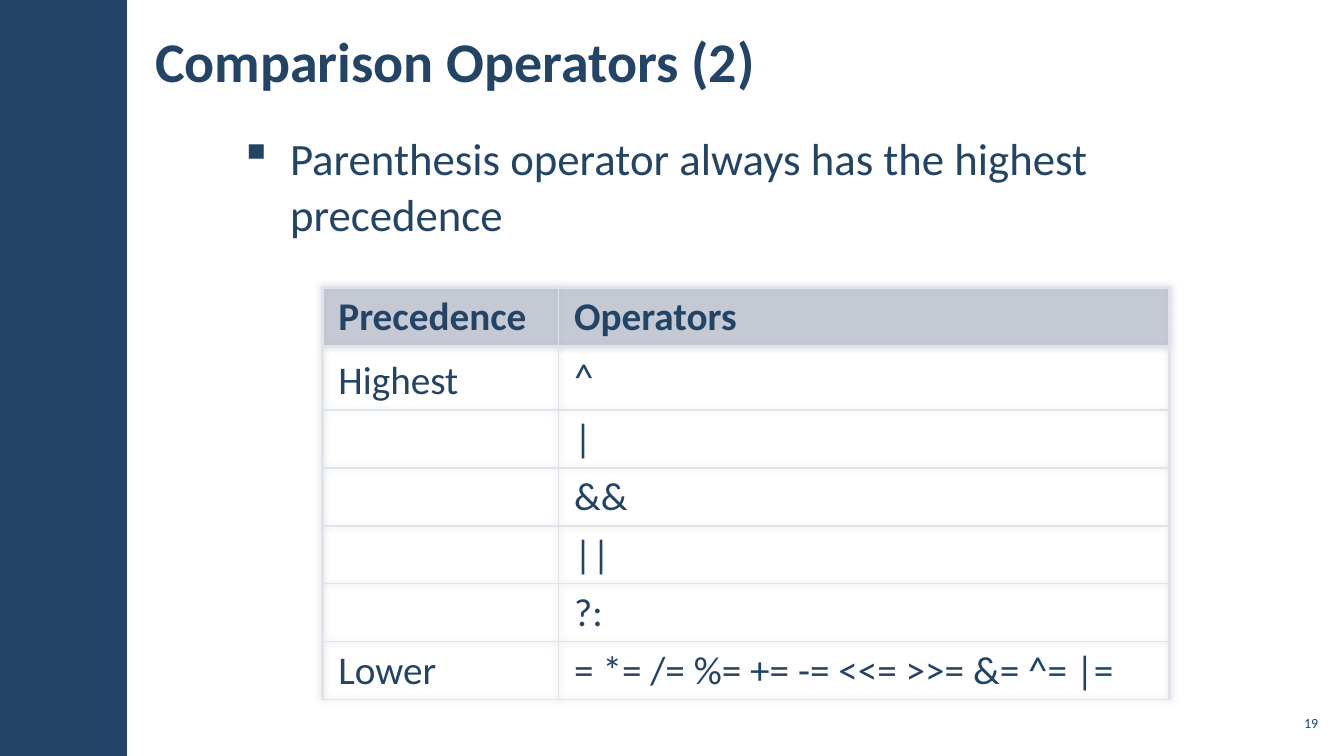
"""Build the slide on operator precedence with a bullet and a table."""
import pptx
import pptx.dml.color
import pptx.enum.shapes
import pptx.enum.text
import pptx.oxml
import pptx.oxml.ns
import pptx.util
from pptx.util import Cm, Pt

NAVY, GREY, BORDER = "234465", "A3ABBC", "E0E3E9"
NAMESPACE = pptx.oxml.ns.nsdecls("a")
ALIGN = pptx.enum.text.PP_ALIGN
MIDDLE = pptx.enum.text.MSO_ANCHOR.MIDDLE


def color(value):
    return pptx.dml.color.RGBColor.from_string(value)


def format_text(frame, size, bold=False, **paragraph_values):
    for paragraph in frame.paragraphs:
        for name, value in paragraph_values.items():
            setattr(paragraph, name, value)
        for run in paragraph.runs:
            for name, value in {"name": "Calibri", "size": Pt(size), "bold": bold}.items():
                setattr(run.font, name, value)
            run.font.color.rgb = color(NAVY)


presentation = pptx.Presentation()
presentation.slide_width, presentation.slide_height = Cm(33.87), Cm(19.05)
slide = presentation.slides.add_slide(presentation.slide_layouts[5])

sidebar = slide.shapes.add_shape(
    pptx.enum.shapes.MSO_SHAPE.RECTANGLE, 0, 0, Cm(3.2), presentation.slide_height)
sidebar.shadow.inherit = False
sidebar.fill.solid()
sidebar.fill.fore_color.rgb = color(NAVY)
sidebar.line.fill.background()

title = slide.shapes.title
title.text_frame.text = "Comparison Operators (2)"
body = slide.shapes.add_textbox(0, 0, 0, 0)
number = slide.shapes.add_textbox(0, 0, 0, 0)
number.text_frame.text = "19"
for shape, left, top, width, height, margin in [
    (title, 3.61, 0.28, 23.34, 2.46, 0.3),
    (body, 5.74, 3.12, 27.58, 14.66, 0.3),
    (number, 32.13, 17.78, 1.19, 0.86, 0.1),
]:
    shape.left, shape.top, shape.width, shape.height = map(Cm, (left, top, width, height))
    frame_values = {
        "word_wrap": True, "auto_size": pptx.enum.text.MSO_AUTO_SIZE.NONE,
        "margin_left": Cm(margin), "margin_right": Cm(margin),
        "margin_top": Cm(0.1), "margin_bottom": Cm(0.1),
        "vertical_anchor": pptx.enum.text.MSO_ANCHOR.TOP if shape is body else MIDDLE,
    }
    for name, value in frame_values.items():
        setattr(shape.text_frame, name, value)

bullet = body.text_frame.paragraphs[0]
bullet.add_run().text = "Parenthesis operator always has the highest"
bullet.add_line_break()
bullet.add_run().text = "precedence"
bullet_properties = bullet._p.get_or_add_pPr()
bullet_properties.set("marL", str(Cm(1.27)))
bullet_properties.set("indent", str(Cm(-1.27)))
bullet_properties.append(pptx.oxml.parse_xml(f'<a:buChar {NAMESPACE} char="▪"/>'))

format_text(title.text_frame, 40, True, alignment=ALIGN.LEFT)
format_text(body.text_frame, 32, line_spacing=1.05, space_after=Pt(6))
format_text(number.text_frame, 10, alignment=ALIGN.RIGHT)

rows = [
    ("Precedence", "Operators"),
    ("Highest", "^"),
    ("", "|"),
    ("", "&&"),
    ("", "||"),
    ("", "?:"),
    ("Lower", "= *= /= %= += -= <<= >>= &= ^= |="),
]
row_heights = [1.49, 1.6] + [1.46] * 5
table = slide.shapes.add_table(
    len(rows), 2, Cm(8.13), Cm(7.24), Cm(21.34), Cm(sum(row_heights))).table
table.first_row = table.horz_banding = False
table._tbl.tblPr.insert(0, pptx.oxml.parse_xml(
    f'<a:effectLst {NAMESPACE}><a:outerShdw blurRad="63500" algn="ctr" rotWithShape="0">'
    f'<a:srgbClr val="{GREY}"><a:alpha val="50000"/></a:srgbClr></a:outerShdw></a:effectLst>'))
for column, width in zip(table.columns, (5.94, 15.4)):
    column.width = Cm(width)

for row_index, texts in enumerate(rows):
    table.rows[row_index].height = Cm(row_heights[row_index])
    for column_index, text in enumerate(texts):
        cell = table.cell(row_index, column_index)
        cell.text = text
        cell_values = {
            "vertical_anchor": MIDDLE, "margin_left": Cm(0.4), "margin_right": Cm(0.4),
            "margin_top": Cm(0.13), "margin_bottom": Cm(0.13),
        }
        for name, value in cell_values.items():
            setattr(cell, name, value)
        format_text(cell.text_frame, 28, row_index == 0,
                    line_spacing=Pt(38) if text == "Highest" else 0.95)
        heavy_sides = {
            "L": column_index == 0, "R": column_index == 1,
            "T": row_index < 2, "B": row_index == 0,
        }
        cell_properties = cell._tc.get_or_add_tcPr()
        for side, heavy in heavy_sides.items():
            cell_properties.append(pptx.oxml.parse_xml(
                f'<a:ln{side} {NAMESPACE} w="{Pt(2.25 if heavy else 1)}"><a:solidFill>'
                f'<a:srgbClr val="{BORDER}"/></a:solidFill></a:ln{side}>'))
        if row_index:
            cell.fill.background()
        else:
            cell.fill.solid()
            cell.fill.fore_color.rgb = color(GREY)
            fill_color = cell_properties.find(pptx.oxml.ns.qn("a:solidFill"))[0]
            fill_color.append(pptx.oxml.parse_xml(f'<a:alpha {NAMESPACE} val="50000"/>'))

presentation.save("out.pptx")
